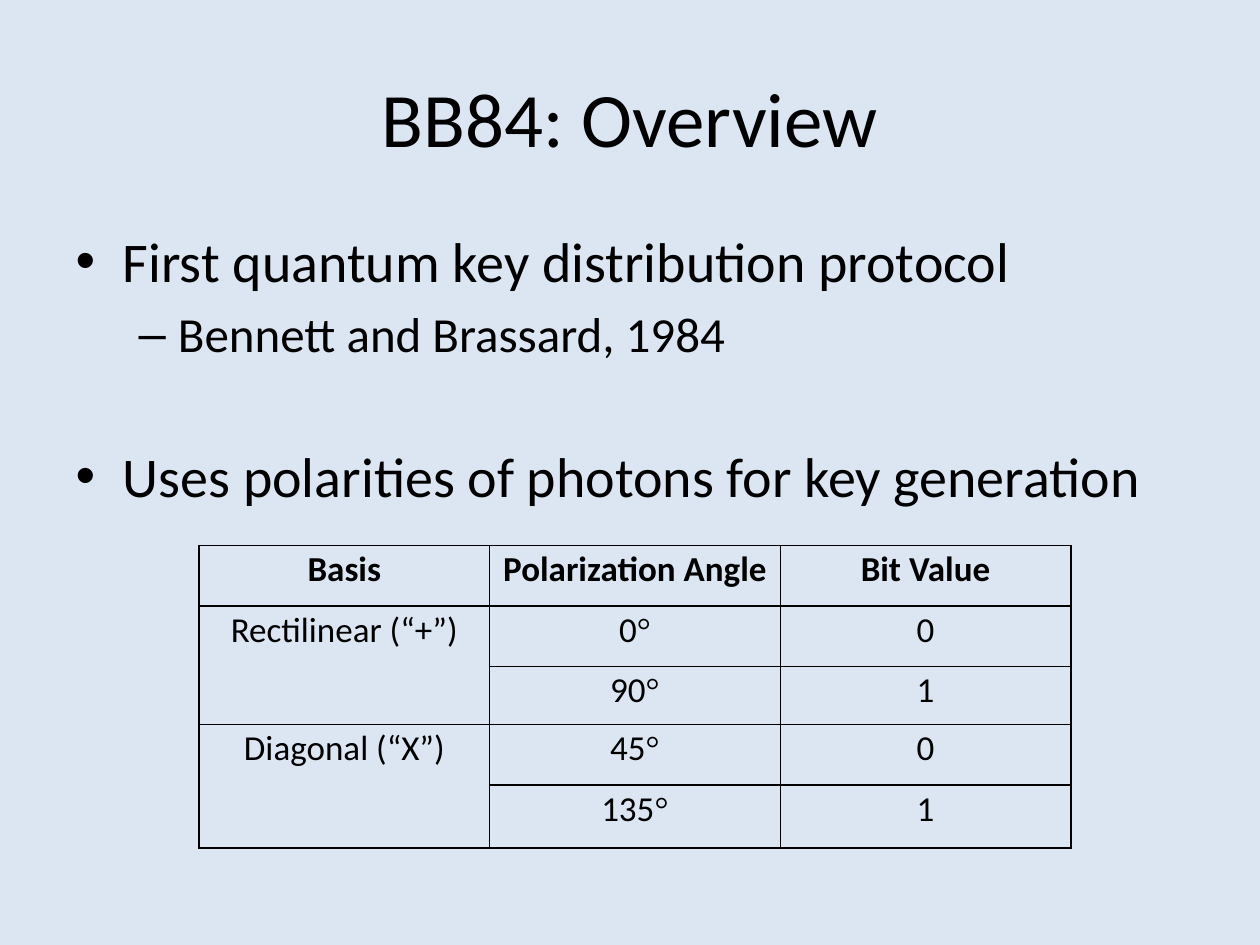
import pptx
import pptx.dml.color
import pptx.enum.text
import pptx.oxml.ns
import pptx.util
from lxml import etree

INK = "000000"
PAPER = "DCE6F2"
FONT = "Calibri"
SYMBOL = "Times New Roman"
LINES = [
    ("First quantum key distribution protocol", 0, 32, None),
    ("Bennett and Brassard, 1984", 1, 28, None),
    ("Uses polarities of photons for key generation", 0, 32, 45),
]
ROWS = [
    ("Basis", "Polarization Angle", "Bit Value"),
    ("Rectilinear (“+”)", "0°", "0"),
    ("", "90°", "1"),
    ("Diagonal (“X”)", "45°", "0"),
    ("", "135°", "1"),
]
HEIGHTS = [0.48, 0.48, 0.46, 0.48, 0.5]


def color(code):
    return pptx.dml.color.RGBColor.from_string(code)


def style(run, size, bold=False, face=FONT):
    run.font.name = face
    run.font.size = pptx.util.Pt(size)
    run.font.bold = bold
    run.font.color.rgb = color(INK)


def place(shape, box):
    shape.left, shape.top, shape.width, shape.height = map(pptx.util.Inches, box)


def add_title(slide, box):
    title = slide.shapes.title
    place(title, box)
    title.text_frame.text = "BB84: Overview"
    style(title.text_frame.paragraphs[0].runs[0], 44)


def add_list(slide, box):
    body = slide.placeholders[1]
    place(body, box)
    frame = body.text_frame
    frame.text = "\n".join(line[0] for line in LINES)
    for para, (_, level, size, gap) in zip(frame.paragraphs, LINES):
        para.level = level
        if gap:
            para.space_before = pptx.util.Pt(gap)
        style(para.runs[0], size)


def add_edges(cell):
    """Draw a thin line on all four sides of a cell."""
    props = cell._tc.get_or_add_tcPr()
    qn = pptx.oxml.ns.qn
    for side in ("lnL", "lnR", "lnT", "lnB"):
        line = etree.SubElement(props, qn("a:" + side), w=str(pptx.util.Pt(1)))
        fill = etree.SubElement(line, qn("a:solidFill"))
        etree.SubElement(fill, qn("a:srgbClr"), val=INK)


def fill_cell(cell, text, bold):
    add_edges(cell)
    cell.fill.background()
    cell.margin_left = cell.margin_right = pptx.util.Inches(0.07)
    cell.margin_top = cell.margin_bottom = 0
    if not text:
        return
    para = cell.text_frame.paragraphs[0]
    para.text = text.rstrip("°")
    para.alignment = pptx.enum.text.PP_ALIGN.CENTER
    para.line_spacing = 1.07
    para.space_before = pptx.util.Pt(12)
    style(para.runs[0], 20, bold)
    if text.endswith("°"):
        mark = para.add_run()
        mark.text = "°"
        style(mark, 20, face=SYMBOL)


def add_grid(slide, box):
    size = map(pptx.util.Inches, box)
    table = slide.shapes.add_table(len(ROWS), len(ROWS[0]), *size).table
    table.first_row = table.horz_banding = False
    for row, height in zip(table.rows, HEIGHTS):
        row.height = pptx.util.Inches(height)
    for r, texts in enumerate(ROWS):
        for c, text in enumerate(texts):
            fill_cell(table.cell(r, c), text, r == 0)
    for top in (1, 3):
        table.cell(top, 0).merge(table.cell(top + 1, 0))


def main():
    deck = pptx.Presentation()
    deck.slide_width = pptx.util.Inches(10)
    deck.slide_height = pptx.util.Inches(7.5)
    slide = deck.slides.add_slide(deck.slide_layouts[1])
    slide.background.fill.solid()
    slide.background.fill.fore_color.rgb = color(PAPER)
    add_title(slide, (0.5, 0.3, 9, 1.25))
    add_list(slide, (0.5, 1.75, 9, 4.95))
    add_grid(slide, (1.58, 4.33, 6.92, sum(HEIGHTS)))
    deck.save("out.pptx")


if __name__ == "__main__":
    main()
